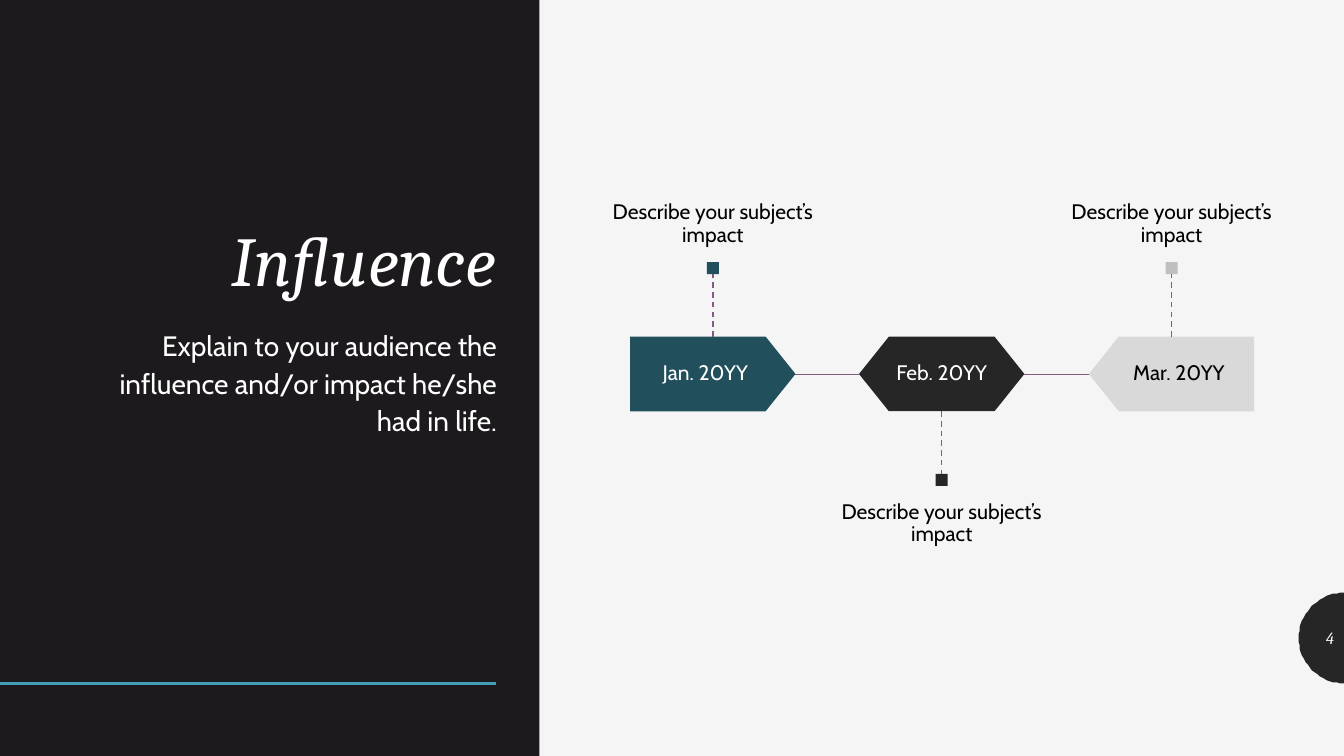
from math import cos, pi, sin

from lxml.etree import SubElement
from pptx import Presentation
from pptx.dml.color import RGBColor
from pptx.enum.dml import MSO_LINE
from pptx.enum.shapes import MSO_CONNECTOR, MSO_SHAPE
from pptx.enum.text import MSO_ANCHOR, MSO_AUTO_SIZE, PP_ALIGN
from pptx.oxml.ns import qn
from pptx.util import Pt

SCALE = 9144
PAGE_WIDTH, PAGE_HEIGHT = 1333, 750
STAGE_TOP, STAGE_WIDTH, STAGE_HEIGHT = 334, 164, 74
MARKER_SIZE, STEM_LENGTH = 12, 62
NOTE_WIDTH, NOTE_HEIGHT = 228, 198
NOTE = "Describe your subject’s impact"
STAGES = [
    ("Jan. 20YY", MSO_SHAPE.PENTAGON, "224F5C", "224F5C", "FFFFFF"),
    ("Feb. 20YY", MSO_SHAPE.HEXAGON, "262626", "262626", "FFFFFF"),
    ("Mar. 20YY", MSO_SHAPE.PENTAGON, "D9D9D9", "BFBFBF", "000000"),
]


def px(*lengths):
    """Turn lengths in px into a list of EMU."""
    return [length * SCALE for length in lengths]


def paint(color_format, color):
    """Set a colour from a hex string."""
    color_format.rgb = RGBColor.from_string(color)


def fill_shape(shape, color):
    """Give a shape a flat fill without outline or shadow."""
    shape.shadow.inherit = False
    shape.fill.solid()
    paint(shape.fill.fore_color, color)
    shape.line.fill.background()


def write(shape, text, size, color, align, anchor, font="Cabin", italic=False, spacing=1.0, inset=(10, 5)):
    """Write one formatted paragraph into a shape and return it."""
    frame = shape.text_frame
    frame.word_wrap = True
    frame.auto_size = MSO_AUTO_SIZE.NONE
    frame.vertical_anchor = anchor
    frame.margin_left, frame.margin_top = px(*inset)
    frame.margin_right, frame.margin_bottom = px(*inset)
    para = frame.paragraphs[0]
    para.alignment = align
    para.line_spacing = spacing
    para.space_before = Pt(0)
    span = para.add_run()
    span.text = text
    span.font.name = font
    span.font.size = Pt(size)
    span.font.italic = italic
    paint(span.font.color, color)
    return para


def add_line(page, start, end, color, width):
    """Draw a straight line without shadow."""
    line = page.shapes.add_connector(MSO_CONNECTOR.STRAIGHT, *px(*start, *end))
    SubElement(line.element.spPr, qn("a:effectLst"))
    paint(line.line.color, color)
    line.line.width = Pt(width)
    return line


def add_block(page, kind, bounds, color):
    """Add a filled preset shape."""
    block = page.shapes.add_shape(kind, *px(*bounds))
    fill_shape(block, color)
    return block


def place(placeholder, bounds):
    """Move a placeholder to its place in front of the shapes so far."""
    placeholder.left, placeholder.top, placeholder.width, placeholder.height = px(*bounds)
    placeholder.element.getparent().append(placeholder.element)


def add_page_number(page, number):
    """Add the half disc at the right edge with its page number."""
    radius, middle = 45, 633
    arc = [
        (round(PAGE_WIDTH - radius * sin(step * pi / 40), 2), round(middle - radius * cos(step * pi / 40), 2))
        for step in range(41)
    ]
    builder = page.shapes.build_freeform(*arc[0], scale=SCALE)
    builder.add_line_segments(arc[1:], close=True)
    fill_shape(builder.convert_to_shape(), "262626")
    box = page.shapes.add_textbox(*px(PAGE_WIDTH - radius, 613, radius, 40))
    write(box, number, 12, "F5F5F5", PP_ALIGN.RIGHT, MSO_ANCHOR.MIDDLE, "Cambria", True)


def add_heading(page):
    """Add the dark panel with its title, explanation and rule."""
    add_block(page, MSO_SHAPE.RECTANGLE, (0, 0, 535, PAGE_HEIGHT), "1D1A1D")
    add_line(page, (0, 678), (492, 678), "439EB7", 2)
    title, body = page.placeholders
    place(title, (83, 61, 419, 243))
    write(title, "Influence", 50, "FFFFFF", PP_ALIGN.RIGHT, MSO_ANCHOR.BOTTOM, "Cambria", True, 0.9)
    place(body, (83, 317, 420, 312))
    para = write(
        body,
        "Explain to your audience the influence and/or impact he/she had in life.",
        20, "FFFFFF", PP_ALIGN.RIGHT, MSO_ANCHOR.TOP, spacing=1.12,
    )
    para.space_before = Pt(9)
    properties = para._p.get_or_add_pPr()
    properties.set("marL", "0")
    properties.set("indent", "0")
    SubElement(properties, qn("a:buNone"))


def add_stage(page, index, date, kind, color, marker_color, text_color):
    """Add one stage of the timeline with its marker, stem and note."""
    left = 625 + index * 455 // 2
    center = left + STAGE_WIDTH // 2
    stage = add_block(page, kind, (left, STAGE_TOP, STAGE_WIDTH, STAGE_HEIGHT), color)
    stage.adjustments[0] = 0.4
    if index == len(STAGES) - 1:
        stage.element.spPr.find(qn("a:xfrm")).set("flipH", "1")
    else:
        next_left = 625 + (index + 1) * 455 // 2
        middle = STAGE_TOP + STAGE_HEIGHT // 2
        add_line(page, (left + STAGE_WIDTH, middle), (next_left, middle), "835B82", 0.5)
    write(stage, date, 15, text_color, PP_ALIGN.CENTER, MSO_ANCHOR.MIDDLE, spacing=0.9, inset=(0, 12))

    if index % 2:
        stem_start = STAGE_TOP + STAGE_HEIGHT
        stem_end = stem_start + STEM_LENGTH
        marker_top, site = stem_end, 0
        note_top, anchor = stem_end + MARKER_SIZE, MSO_ANCHOR.TOP
    else:
        stem_start = STAGE_TOP
        stem_end = stem_start - STEM_LENGTH
        marker_top, site = stem_end - MARKER_SIZE, 2
        note_top, anchor = marker_top - NOTE_HEIGHT, MSO_ANCHOR.BOTTOM
    stem = add_line(page, (center, stem_start), (center, stem_end), "835B82", 1)
    stem.line.dash_style = MSO_LINE.DASH
    marker_bounds = (center - MARKER_SIZE // 2, marker_top, MARKER_SIZE, MARKER_SIZE)
    marker = add_block(page, MSO_SHAPE.RECTANGLE, marker_bounds, marker_color)
    stem.end_connect(marker, site)
    note = page.shapes.add_textbox(*px(center - NOTE_WIDTH // 2, note_top, NOTE_WIDTH, NOTE_HEIGHT))
    write(note, NOTE, 15, "000000", PP_ALIGN.CENTER, anchor, spacing=0.9, inset=(0, 15))


def main():
    """Build the slide and save it."""
    deck = Presentation()
    deck.slide_width, deck.slide_height = px(PAGE_WIDTH, PAGE_HEIGHT)
    page = deck.slides.add_slide(deck.slide_layouts[1])
    page.background.fill.solid()
    paint(page.background.fill.fore_color, "F5F5F5")
    add_heading(page)
    for index, stage in enumerate(STAGES):
        add_stage(page, index, *stage)
    add_page_number(page, "4")
    deck.save("out.pptx")


if __name__ == "__main__":
    main()
